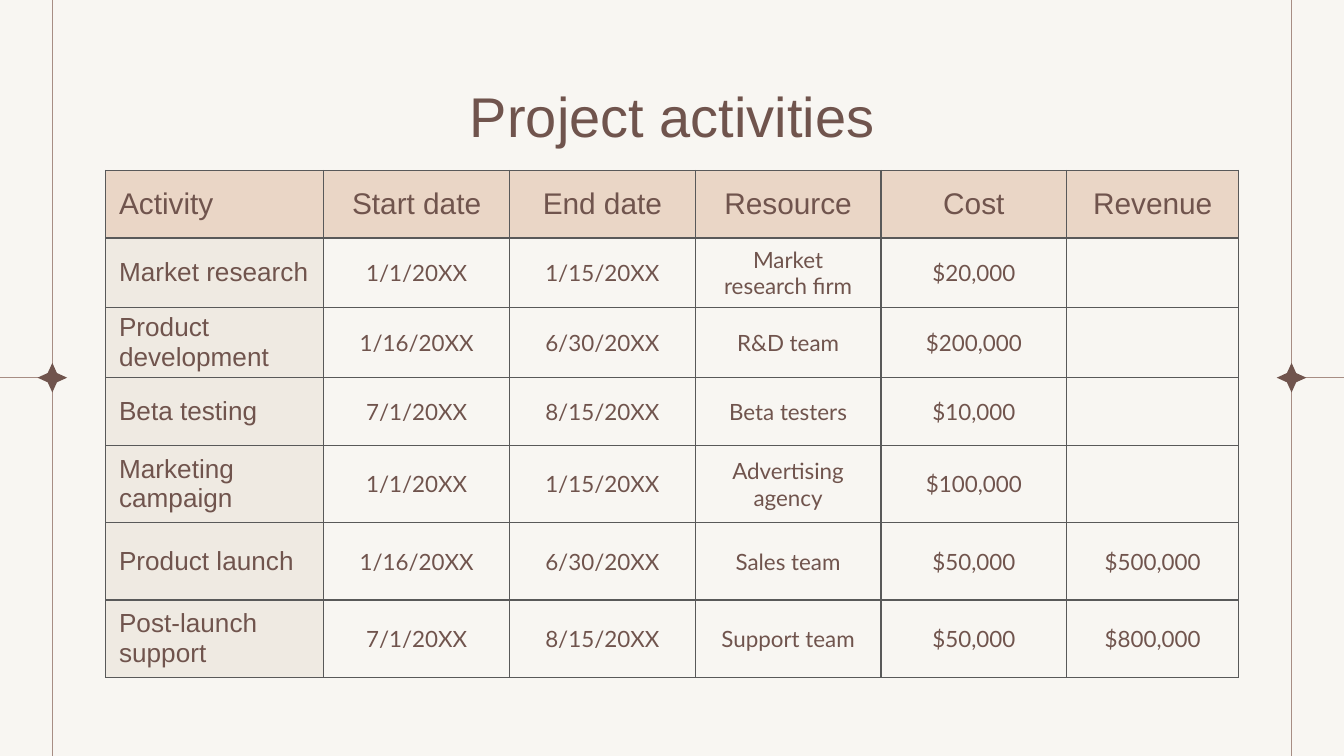
from lxml.etree import SubElement
from pptx import Presentation
from pptx.dml.color import RGBColor
from pptx.enum.shapes import MSO_CONNECTOR, MSO_SHAPE
from pptx.enum.text import MSO_ANCHOR, PP_ALIGN
from pptx.oxml.ns import qn
from pptx.util import Cm, Pt

BACKGROUND = RGBColor(0xF8, 0xF6, 0xF2)
BROWN = RGBColor(0x70, 0x54, 0x4D)
RULE = RGBColor(0xA7, 0x8D, 0x84)
HEADER = RGBColor(0xEA, 0xD6, 0xC6)
ACTIVITY = RGBColor(0xEF, 0xEA, 0xE2)
BORDER = RGBColor(0x59, 0x59, 0x59)

ROWS = [
    ["Activity", "Start date", "End date", "Resource", "Cost", "Revenue"],
    ["Market research", "1/1/20XX", "1/15/20XX", "Market\nresearch firm", "$20,000", ""],
    ["Product development", "1/16/20XX", "6/30/20XX", "R&D team", "$200,000", ""],
    ["Beta testing", "7/1/20XX", "8/15/20XX", "Beta testers", "$10,000", ""],
    ["Marketing campaign", "1/1/20XX", "1/15/20XX", "Advertising agency", "$100,000", ""],
    ["Product launch", "1/16/20XX", "6/30/20XX", "Sales team", "$50,000", "$500,000"],
    ["Post-launch support", "7/1/20XX", "8/15/20XX", "Support team", "$50,000", "$800,000"],
]
COL_WIDTHS = [4.12, 3.51, 3.51, 3.51, 3.51, 3.25]
ROW_HEIGHTS = [1.28, 1.31, 1.32, 1.29, 1.46, 1.46, 1.46]


def write(tf, text, size, font="Arial", align=PP_ALIGN.CENTER):
    tf.text = text
    for p in tf.paragraphs:
        p.alignment = align
        p.font.size = Pt(size)
        for r in p.runs:
            r.font.name = font
            r.font.size = Pt(size)
            r.font.color.rgb = BROWN


def add_border(cell):
    tc_pr = cell._tc.get_or_add_tcPr()
    for i, side in enumerate(("a:lnL", "a:lnR", "a:lnT", "a:lnB")):
        ln = tc_pr.makeelement(qn(side), {"w": str(Pt(0.75))})
        fill = SubElement(ln, qn("a:solidFill"))
        SubElement(fill, qn("a:srgbClr"), val=str(BORDER))
        tc_pr.insert(i, ln)


prs = Presentation()
prs.slide_width, prs.slide_height = Cm(25.4), Cm(14.29)
s = prs.slides.add_slide(prs.slide_layouts[5])
s.background.fill.solid()
s.background.fill.fore_color.rgb = BACKGROUND

# Side rules, each with a star where the short rule meets the long one
for x, edge in ((0.99, 0), (24.41, 25.4)):
    for x1, y1, x2, y2 in ((edge, 7.14, x, 7.14), (x, 0, x, 14.29)):
        line = s.shapes.add_connector(MSO_CONNECTOR.STRAIGHT, Cm(x1), Cm(y1), Cm(x2), Cm(y2))
        line.line.color.rgb = RULE
        line.line.width = Pt(0.75)
        SubElement(line._element.spPr, qn("a:effectLst"))
    star = s.shapes.add_shape(MSO_SHAPE.STAR_4_POINT, Cm(x - 0.28), Cm(6.86), Cm(0.56), Cm(0.56))
    star.adjustments[0] = 0.22
    star.shadow.inherit = False
    star.fill.solid()
    star.fill.fore_color.rgb = BROWN
    star.line.fill.background()

# Title
title = s.shapes.title
title.left, title.top, title.width, title.height = Cm(2), Cm(1.25), Cm(21.41), Cm(1.6)
tf = title.text_frame
tf.vertical_anchor = MSO_ANCHOR.BOTTOM
tf.margin_top = Cm(0.25)
tf.margin_bottom = Cm(0.03)
write(tf, "Project activities", 30)

# Activities table
table = s.shapes.add_table(len(ROWS), len(COL_WIDTHS), Cm(2), Cm(3.22),
                           Cm(sum(COL_WIDTHS)), Cm(sum(ROW_HEIGHTS))).table
table.horz_banding = False
for column, width in zip(table.columns, COL_WIDTHS):
    column.width = Cm(width)
for row, height in zip(table.rows, ROW_HEIGHTS):
    row.height = Cm(height)

for i, values in enumerate(ROWS):
    for j, text in enumerate(values):
        cell = table.cell(i, j)
        cell.vertical_anchor = MSO_ANCHOR.MIDDLE
        cell.margin_left = cell.margin_right = Cm(0.25 if i == 0 or j == 0 else 0)
        cell.margin_top = cell.margin_bottom = Cm(0.18 if i == 0 else 0)
        align = PP_ALIGN.LEFT if j == 0 else PP_ALIGN.CENTER
        if i == 0:
            size, font, color = 16, "Arial", HEADER
        elif j == 0:
            size, font, color = 14, "Arial", ACTIVITY
        else:
            size, font, color = 12, "Lato", None
        write(cell.text_frame, text, size, font, align)
        for p in cell.text_frame.paragraphs:
            for r in p.runs:
                r.font.bold = False
        if color is None:
            cell.fill.background()
        else:
            cell.fill.solid()
            cell.fill.fore_color.rgb = color
        add_border(cell)

prs.save("out.pptx")
